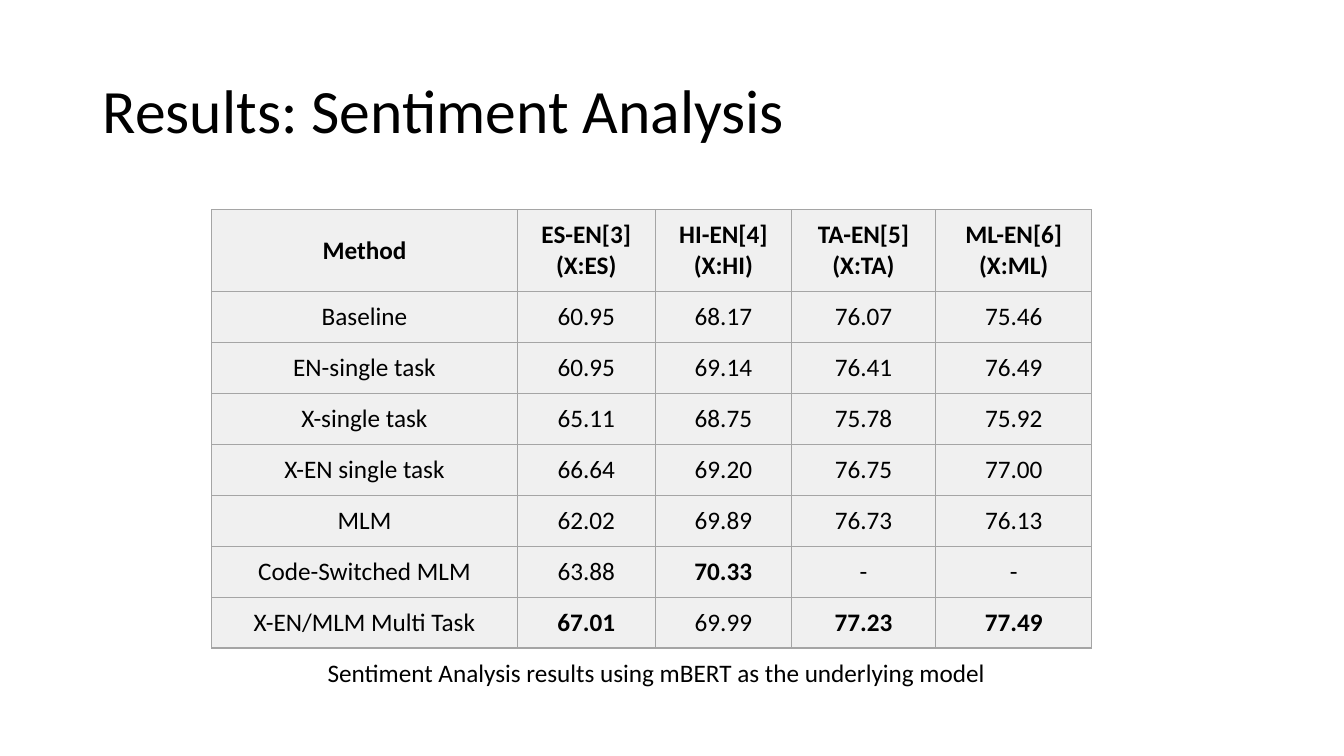
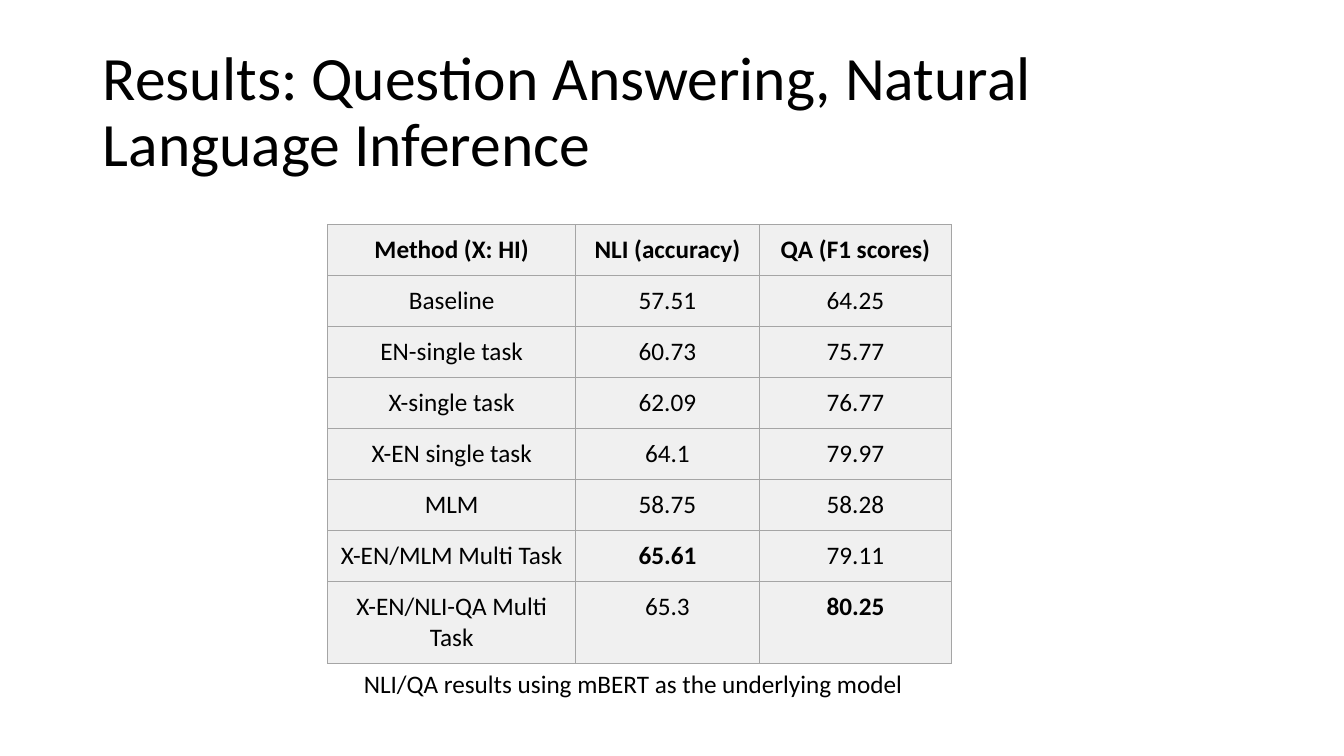
from dataclasses import dataclass
from typing import Any

from lxml import etree
from pptx import Presentation
from pptx.dml.color import RGBColor
from pptx.enum.text import MSO_ANCHOR, MSO_AUTO_SIZE, PP_ALIGN
from pptx.oxml.ns import qn
from pptx.util import Inches, Pt

LEFT, CENTER = PP_ALIGN.LEFT, PP_ALIGN.CENTER
TOP, MIDDLE = MSO_ANCHOR.TOP, MSO_ANCHOR.MIDDLE
NO_FIT = MSO_AUTO_SIZE.NONE
TITLE_ONLY = 5

Box = tuple[float, float, float, float]


@dataclass(frozen=True)
class Theme:
    font: str = "Calibri"
    ink: str = "000000"
    fill: str = "F0F0F0"
    rule: str = "A5A5A5"
    rule_pt: float = 1
    title_pt: float = 44
    body_pt: float = 18
    inset: float = 0.1
    row: float = 0.5
    tall: float = 0.81
    width: float = 13.33
    height: float = 7.5
    title_box: Box = (0.92, 0.4, 11.5, 1.45)


@dataclass(frozen=True)
class Result:
    title: str
    left: float
    top: float
    cols: tuple[float, ...]
    tall_row: int
    head: tuple[str, ...]
    rows: tuple[tuple[str, ...], ...]
    note: str
    note_box: Box
    note_align: Any


THEME = Theme()
INSETS = {f"margin_{side}": Inches(THEME.inset)
          for side in ("left", "right", "top", "bottom")}

RESULTS = (
    Result(
        "Results: Sentiment Analysis",
        2.1, 2.08, (3.03, 1.37, 1.35, 1.43, 1.55), 0,
        ("Method", "ES-EN[3] (X:ES)", "HI-EN[4] (X:HI)",
         "TA-EN[5] (X:TA)", "ML-EN[6] (X:ML)"),
        (
            ("Baseline", "60.95", "68.17", "76.07", "75.46"),
            ("EN-single task", "60.95", "69.14", "76.41", "76.49"),
            ("X-single task", "65.11", "68.75", "75.78", "75.92"),
            ("X-EN single task", "66.64", "69.20", "76.75", "77.00"),
            ("MLM", "62.02", "69.89", "76.73", "76.13"),
            ("Code-Switched MLM", "63.88", "70.33", "-", "-"),
            ("X-EN/MLM Multi Task", "67.01", "69.99", "77.23", "77.49"),
        ),
        "Sentiment Analysis results using mBERT as the underlying model",
        (2.23, 6.42, 8.56, 0.5), CENTER,
    ),
    Result(
        "Results: Question Answering, Natural Language Inference",
        3.25, 2.23, (2.46, 1.82, 1.91), 7,
        ("Method (X: HI)", "NLI (accuracy)", "QA (F1 scores)"),
        (
            ("Baseline", "57.51", "64.25"),
            ("EN-single task", "60.73", "75.77"),
            ("X-single task", "62.09", "76.77"),
            ("X-EN single task", "64.1", "79.97"),
            ("MLM", "58.75", "58.28"),
            ("X-EN/MLM Multi Task", "65.61", "79.11"),
            ("X-EN/NLI-QA Multi Task", "65.3", "80.25"),
        ),
        "NLI/QA results using mBERT as the underlying model",
        (3.51, 6.53, 6.09, 0.5), LEFT,
    ),
)


def apply(item: Any, values: dict[str, Any]) -> None:
    for name, value in values.items():
        setattr(item, name, value)


def write(frame: Any, text: str, size: float, align: Any,
          bold: bool = False, spacing: float = 1.0) -> None:
    para = frame.paragraphs[0]
    apply(para, {"alignment": align, "line_spacing": spacing})
    run = para.add_run()
    run.text = text
    apply(run.font, {"name": THEME.font, "size": Pt(size), "bold": bold})
    run.font.color.rgb = RGBColor.from_string(THEME.ink)


def edge(cell: Any) -> None:
    """Draw all four borders of a cell, ahead of its fill in the XML."""
    props = cell._tc.get_or_add_tcPr()
    for spot, side in enumerate("LRTB"):
        line = etree.Element(qn(f"a:ln{side}"), w=str(Pt(THEME.rule_pt)))
        paint = etree.SubElement(line, qn("a:solidFill"))
        etree.SubElement(paint, qn("a:srgbClr"), val=THEME.rule)
        props.insert(spot, line)


def best(column: tuple[str, ...]) -> float:
    return max(float(text) for text in column if text != "-")


def add_title(slide: Any, text: str) -> None:
    title = slide.shapes.title
    spots = map(Inches, THEME.title_box)
    apply(title, dict(zip(("left", "top", "width", "height"), spots)))
    apply(title.text_frame, {"word_wrap": True, "auto_size": NO_FIT,
                             "vertical_anchor": MIDDLE})
    write(title.text_frame, text, THEME.title_pt, LEFT, spacing=0.9)


def add_grid(slide: Any, result: Result) -> None:
    """Draw the table, with the top score of each column in bold."""
    lines = (result.head, *result.rows)
    highs = [THEME.tall if row == result.tall_row else THEME.row
             for row in range(len(lines))]
    table = slide.shapes.add_table(
        len(lines), len(result.cols), Inches(result.left), Inches(result.top),
        Inches(sum(result.cols)), Inches(sum(highs))).table
    apply(table, {"first_row": False, "horz_banding": False})
    for col, wide in zip(table.columns, result.cols):
        col.width = Inches(wide)
    for row, high in zip(table.rows, highs):
        row.height = Inches(high)

    peaks = [best(column) for column in list(zip(*result.rows))[1:]]
    for row, line in enumerate(lines):
        for col, text in enumerate(line):
            cell = table.cell(row, col)
            apply(cell, {**INSETS, "vertical_anchor": TOP if row else MIDDLE})
            cell.fill.solid()
            cell.fill.fore_color.rgb = RGBColor.from_string(THEME.fill)
            edge(cell)
            score = row > 0 and col > 0 and text != "-"
            bold = row == 0 or (score and float(text) == peaks[col - 1])
            write(cell.text_frame, text, THEME.body_pt, CENTER, bold)


def add_note(slide: Any, result: Result) -> None:
    note = slide.shapes.add_textbox(*map(Inches, result.note_box))
    apply(note.text_frame, {**INSETS, "word_wrap": True})
    write(note.text_frame, result.note, THEME.body_pt, result.note_align)


def main() -> None:
    deck = Presentation()
    apply(deck, {"slide_width": Inches(THEME.width),
                 "slide_height": Inches(THEME.height)})
    for result in RESULTS:
        slide = deck.slides.add_slide(deck.slide_layouts[TITLE_ONLY])
        add_title(slide, result.title)
        add_grid(slide, result)
        add_note(slide, result)
    deck.save("out.pptx")


if __name__ == "__main__":
    main()
